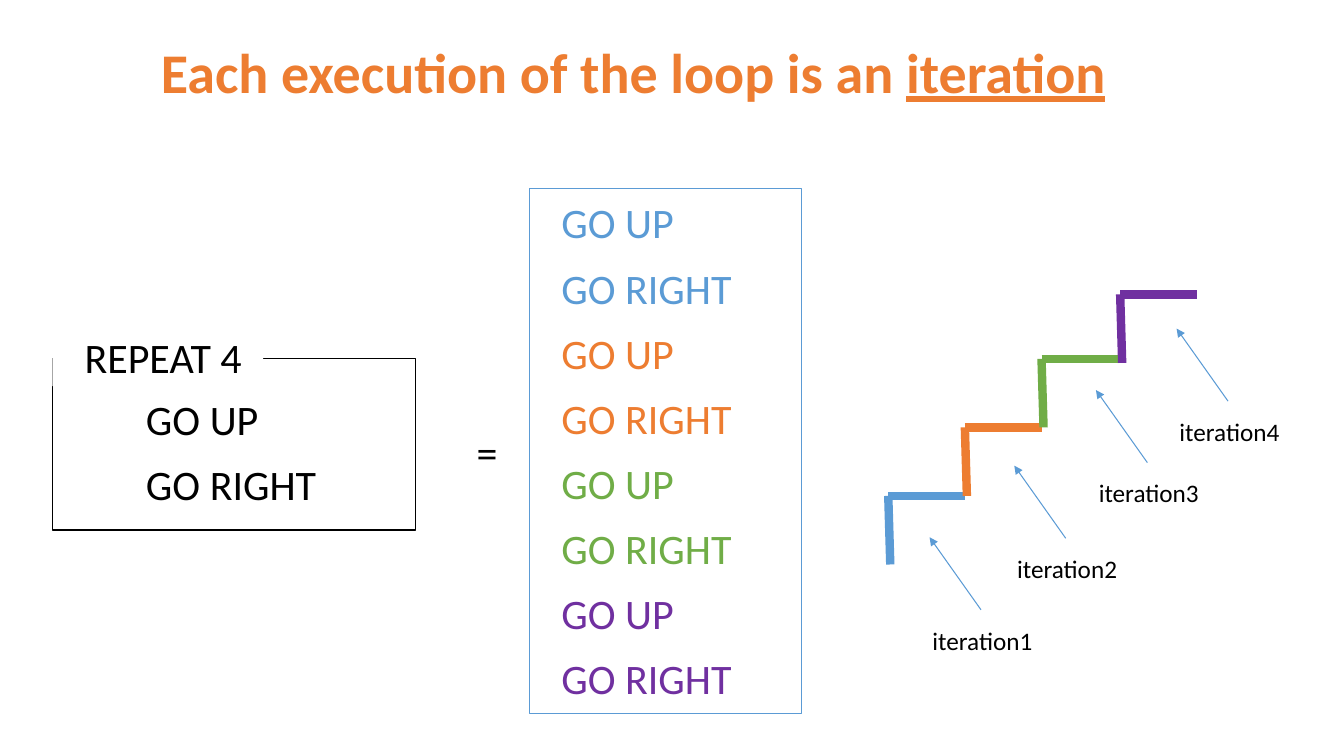
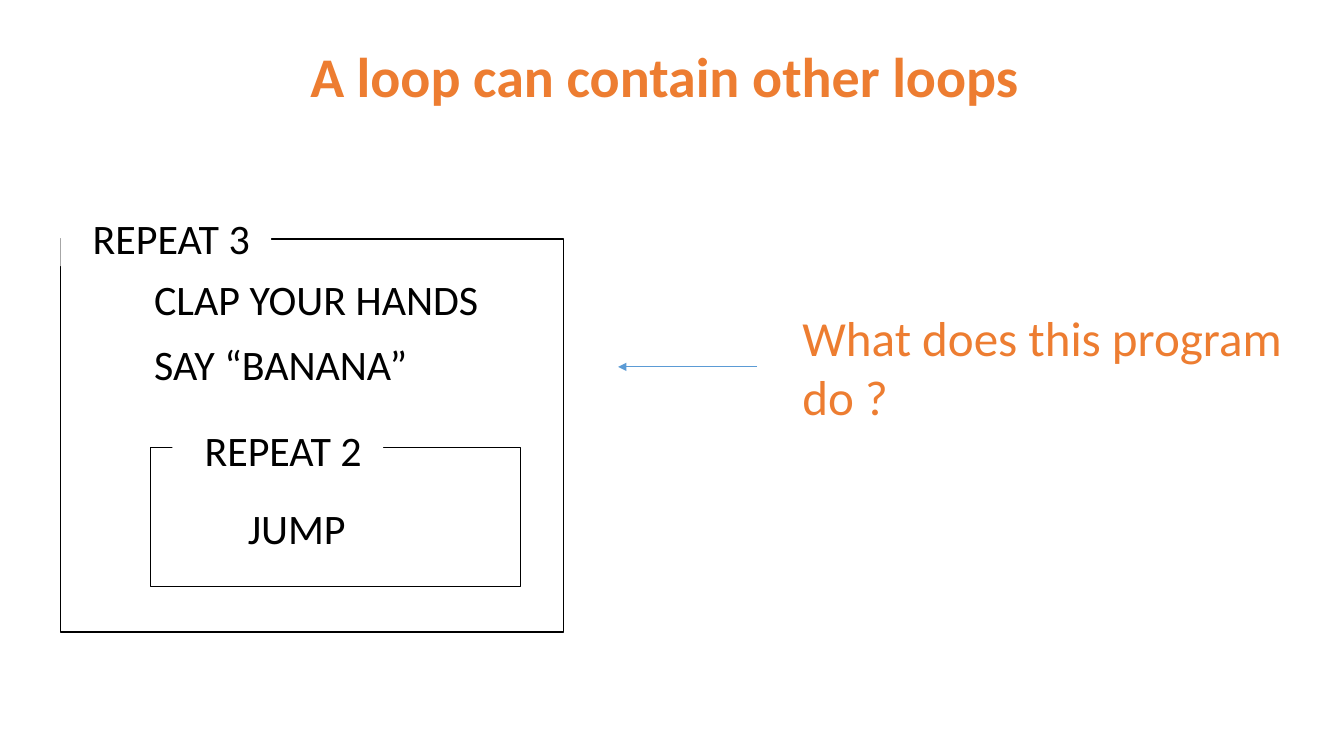
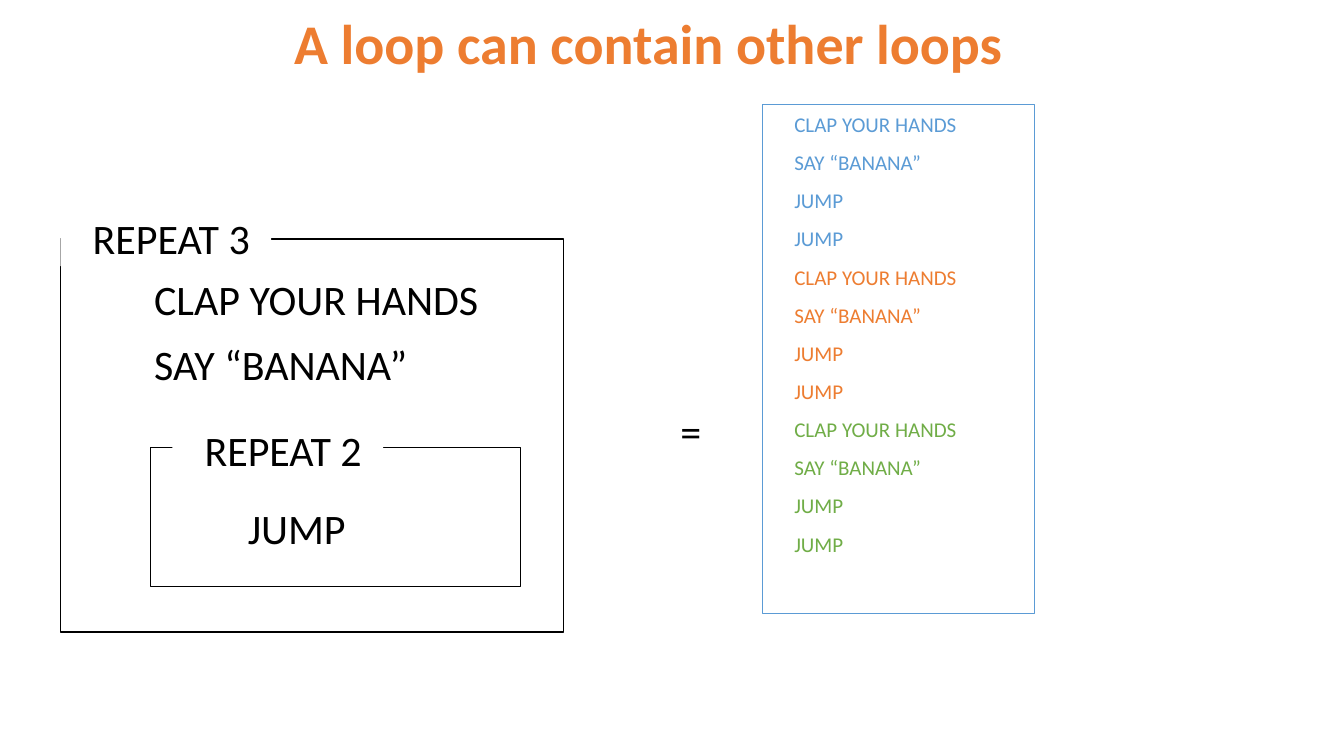
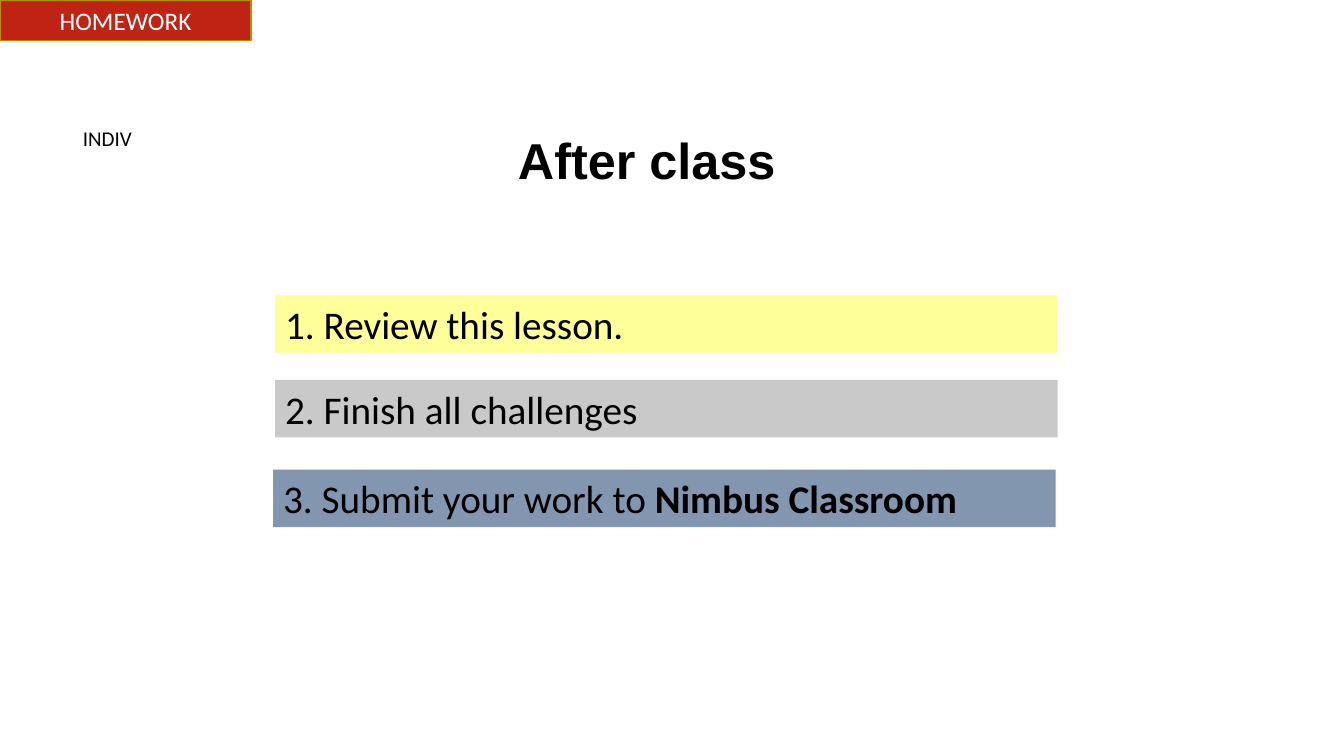
from lxml import etree
from pptx import Presentation
from pptx.dml.color import RGBColor
from pptx.enum.shapes import MSO_CONNECTOR, MSO_SHAPE
from pptx.enum.text import MSO_ANCHOR, PP_ALIGN
from pptx.oxml.ns import qn
from pptx.util import Inches, Pt

RECTANGLE = MSO_SHAPE.RECTANGLE
STRAIGHT = MSO_CONNECTOR.STRAIGHT
TOP = MSO_ANCHOR.TOP
LEFT, CENTER = PP_ALIGN.LEFT, PP_ALIGN.CENTER

COLORS = {
    "black": "000000", "white": "FFFFFF", "blue": "5B9BD5", "orange": "ED7D31",
    "green": "70AD47", "purple": "7030A0", "yellow": "FFFF99", "grey": "C9C9C9",
    "slate": "8296B0", "red": "BE2314", "gold": "BA8C00",
}
ITERATION_COLORS = ["blue", "orange", "green", "purple"]
FONT = "Calibri"
CODE_SIZE = 30
SPACING, GAP, INDENT = 1.07, 8, 0.22

# Content: a line of text is a string, or a (plain, emphasised) pair
ITERATION_TITLE = ("Each execution of the loop is an ", "iteration")
NESTED_TITLE = "A loop can contain other loops"
MOVES = ["GO UP", "GO RIGHT"]
ACTIONS = ["CLAP YOUR HANDS", "SAY “BANANA”"]
JUMP = "JUMP"
QUESTION = ["What does this program", "do ?"]
HOMEWORK = [
    ("1. Review this lesson.", "yellow", (2.73, 2.93)),
    ("2. Finish all challenges", "grey", (2.73, 3.77)),
    (("3. Submit your work to ", "Nimbus Classroom"), "slate", (2.71, 4.66)),
]

# Staircase: corner of each step, and place of the label that points at it
STEP_CORNERS = [(8.81, 4.92), (9.57, 4.24), (10.33, 3.56), (11.11, 2.92)]
LABEL_PLACES = [(9.15, 6.15), (9.99, 5.44), (10.8, 4.69), (11.6, 4.08)]
RISE, RUN, LEAN = 0.68, 0.76, 0.02

prs = Presentation()
prs.slide_width, prs.slide_height = Inches(13.33), Inches(7.5)
TITLE_ONLY = prs.slide_layouts[5]


def rgb(name):
    """Return the named colour."""
    return RGBColor.from_string(COLORS[name])


def write(shape, lines, size, colors="black", align=LEFT, font=FONT,
          bold=False, underline=False, code=False):
    """Fill a shape with lines; code lines are indented and spaced apart."""
    frame = shape.text_frame
    frame.word_wrap = True
    frame.vertical_anchor = TOP
    if isinstance(colors, str):
        colors = [colors] * len(lines)
    for i, (line, color) in enumerate(zip(lines, colors)):
        paragraph = frame.paragraphs[0] if i == 0 else frame.add_paragraph()
        paragraph.alignment = align
        style = paragraph.font
        style.name, style.size, style.bold = font, Pt(size), bold
        style.color.rgb = rgb(color)
        if code:
            paragraph.line_spacing = SPACING
            paragraph.space_before = Pt(GAP if i else 0)
            paragraph._p.get_or_add_pPr().set("marL", str(Inches(INDENT)))
        plain, emphasised = (line, "") if isinstance(line, str) else line
        paragraph.add_run().text = plain
        if emphasised:
            run = paragraph.add_run()
            run.text = emphasised
            run.font.bold = True
            run.font.underline = underline


def add_text(slide, box, lines, size, **style):
    """Add a text box."""
    write(slide.shapes.add_textbox(*map(Inches, box)), lines, size, **style)


def add_box(slide, box, fill=None, outline=None, width=1.0):
    """Add a rectangle with an optional fill and outline."""
    shape = slide.shapes.add_shape(RECTANGLE, *map(Inches, box))
    shape.shadow.inherit = False
    for part, color in ((shape.fill, fill), (shape.line.fill, outline)):
        if color:
            part.solid()
            part.fore_color.rgb = rgb(color)
        else:
            part.background()
    if outline:
        shape.line.width = Pt(width)
    return shape


def add_line(slide, start, end, color, width, arrow=False):
    """Draw a straight line, with an arrowhead at its end if asked."""
    line = slide.shapes.add_connector(STRAIGHT, *map(Inches, (*start, *end)))
    line.line.color.rgb = rgb(color)
    line.line.width = Pt(width)
    if arrow:
        etree.SubElement(line.line._get_or_add_ln(), qn("a:tailEnd"), type="triangle")
    etree.SubElement(line._element.spPr, qn("a:effectLst"))


def add_slide(title, box, size=40, color="orange", font=FONT):
    """Start a slide with a bold centred title."""
    slide = prs.slides.add_slide(TITLE_ONLY)
    heading = slide.shapes.title
    heading.left, heading.top, heading.width, heading.height = map(Inches, box)
    write(heading, [title], size, color, CENTER, font, bold=True, underline=True)
    return slide


def add_loop(slide, frame, count, label_at, body, body_box):
    """Frame the body of a loop, with its repeat count set into the frame."""
    add_box(slide, frame, outline="black")
    label = add_box(slide, (*label_at, 2.09, 0.62), fill="white")
    write(label, [f"REPEAT {count}"], CODE_SIZE, code=True)
    add_text(slide, body_box, body, CODE_SIZE, code=True)


def add_nested_loops(slide):
    """Draw the program with a loop inside a loop."""
    add_loop(slide, (0.6, 2.37, 4.99, 3.9), 3, (0.6, 2.02), ACTIONS, (1.21, 2.63, 3.95, 1.27))
    add_loop(slide, (1.49, 4.44, 3.67, 1.38), 2, (1.71, 4.13), [JUMP], (2.14, 4.9, 1.67, 0.64))


def add_unrolled(slide, equals_at, box, body, times, size):
    """Show an equals sign and every iteration written out in its colour."""
    add_text(slide, (*equals_at, 0.41, 0.61), ["="], CODE_SIZE)
    colors = [color for color in ITERATION_COLORS[:times] for _ in body]
    listing = add_box(slide, box, outline="blue", width=0.75)
    write(listing, body * times, size, colors, code=True)


def add_staircase(slide):
    """Draw one step per iteration, each with a label and an arrow."""
    steps = zip(STEP_CORNERS, LABEL_PLACES, ITERATION_COLORS)
    for number, ((x, y), (label_x, label_y), color) in enumerate(steps, 1):
        add_line(slide, (x + LEAN, y + RISE), (x, y), color, 6)
        add_line(slide, (x, y), (x + RUN, y), color, 6)
        add_line(slide, (label_x + 0.58, label_y - 0.1),
                 (label_x + 0.07, label_y - 0.82), "blue", 0.75, arrow=True)
        add_text(slide, (label_x, label_y, 1.2, 0.4), [f"iteration{number}"], 18)


# Slide 1: iterations
iterations = add_slide(ITERATION_TITLE, (1.18, 0.32, 10.2, 0.77))
add_loop(iterations, (0.52, 3.56, 3.6, 1.7), 4, (0.52, 3.21), MOVES, (1.13, 3.82, 2.7, 1.27))
add_unrolled(iterations, (4.63, 4.18), (5.25, 1.87, 2.7, 5.21), MOVES, 4, CODE_SIZE)
add_staircase(iterations)

# Slide 2: nested loops, the question
question = add_slide(NESTED_TITLE, (1.49, 0.36, 10.2, 0.77))
add_nested_loops(question)
add_line(question, (7.51, 3.64), (6.13, 3.64), "blue", 0.75, arrow=True)
add_text(question, (7.86, 3, 5.12, 1.28), QUESTION, 35, colors="orange")

# Slide 3: nested loops, the answer
answer = add_slide(NESTED_TITLE, (1.33, 0.03, 10.2, 0.77))
add_nested_loops(answer)
add_unrolled(answer, (6.65, 3.97), (7.56, 1.04, 2.7, 5.05), ACTIONS + [JUMP] * 2, 3, 15)

# Slide 4: homework
homework = add_slide("After class", (4.83, 1.23, 3.17, 0.71), 36, "black", "Arial")
for task, color, place in HOMEWORK:
    write(add_box(homework, (*place, 7.76, 0.57), fill=color), [task], 28)
tag = add_box(homework, (0, 0, 2.49, 0.4), fill="red", outline="gold")
write(tag, ["HOMEWORK"], 18, "white", CENTER)
add_text(homework, (0.72, 1.2, 0.69, 0.35), ["INDIV"], 15, align=CENTER)

prs.save("out.pptx")
